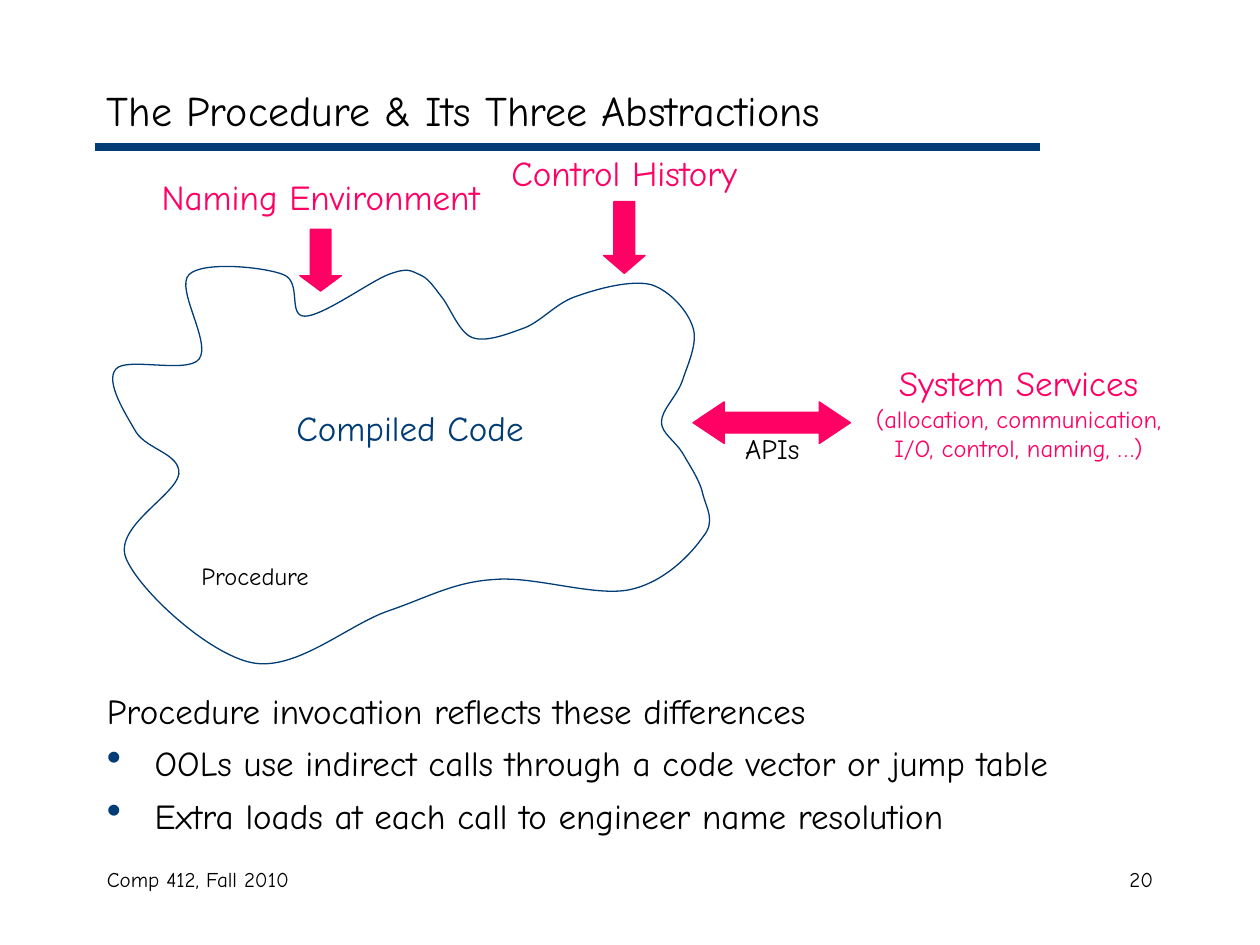
from lxml.etree import SubElement
from pptx import Presentation
from pptx.dml.color import RGBColor
from pptx.enum.shapes import MSO_CONNECTOR as Connector, MSO_SHAPE as Shape
from pptx.enum.text import MSO_ANCHOR as Anchor, PP_ALIGN as Align
from pptx.oxml.ns import qn
from pptx.util import Inches, Pt

THEME = {
    "font": "Comic Neue",
    "black": RGBColor(0x00, 0x00, 0x00),
    "navy": RGBColor(0x00, 0x3C, 0x75),
    "pink": RGBColor(0xFF, 0x00, 0x65),
    "title": 24, "label": 20, "api": 16, "small": 14, "footer": 12,
    "rule": 4.5, "outline": 0.75,
}
WIDTH, HEIGHT = 10, 7.5
MARGIN, HEADING = 0.75, 1.17
CONTENT = WIDTH - 2 * MARGIN
INDENT = 0.38

# (left, top, width, height), alignment, colour, [(text, size), ...]
LABELS = [
    ((0.92, 1.34, 3.25, 0.44), Align.CENTER, "pink", [("Naming Environment", "label")]),
    ((3.33, 1.15, 3.25, 0.44), Align.CENTER, "pink", [("Control History", "label")]),
    ((6.67, 2.82, 2.83, 0.9), Align.CENTER, "pink", [
        ("System Services", "label"),
        ("(allocation, communication, I/O, control, naming, …)", "small")]),
    ((5.63, 3.38, 1, 0.37), Align.CENTER, "black", [("APIs", "api")]),
    ((2.17, 3.18, 2.17, 0.44), Align.CENTER, "navy", [("Compiled Code", "label")]),
    ((1.5, 4.4, 1.67, 0.34), Align.LEFT, "black", [("Procedure", "small")]),
    ((MARGIN, 6.83, 3.17, 0.5), Align.LEFT, "black", [("Comp 412, Fall 2010", "footer")]),
    ((7.17, 6.83, 2.08, 0.5), Align.RIGHT, "black", [("20", "footer")]),
]
TITLE = "The Procedure & Its Three Abstractions"
SUMMARY = "Procedure invocation reflects these differences"
BULLETS = [
    "OOLs use indirect calls through a code vector or jump table",
    "Extra loads at each call to engineer name resolution",
]
# shape, (left, top, width, height), adjustments
ARROWS = [
    (Shape.DOWN_ARROW, (2.38, 1.82, 0.33, 0.49), (0.5, 0.37)),
    (Shape.DOWN_ARROW, (4.79, 1.6, 0.33, 0.57), (0.5, 0.43)),
    (Shape.LEFT_RIGHT_ARROW, (5.5, 3.19, 1.25, 0.33), (0.5, 0.75)),
]
# In hundredths of an inch; each curve: two control points, then its end point
CLOUD_UNIT = Inches(0.01)
CLOUD_START = (108, 343)
CLOUD_CURVES = [
    ((100, 329), (83, 303), (92, 293)),
    ((100, 283), (149, 297), (158, 285)),
    ((168, 272), (139, 229), (150, 218)),
    ((161, 207), (210, 212), (225, 218)),
    ((240, 224), (228, 251), (242, 251)),
    ((256, 251), (293, 224), (308, 218)),
    ((324, 212), (326, 215), (333, 218)),
    ((340, 221), (343, 226), (350, 235)),
    ((357, 243), (364, 264), (375, 268)),
    ((386, 272), (403, 265), (417, 260)),
    ((431, 254), (442, 240), (458, 235)),
    ((475, 229), (501, 222), (517, 226)),
    ((532, 231), (546, 247), (550, 260)),
    ((554, 272), (546, 289), (542, 301)),
    ((538, 314), (525, 325), (525, 335)),
    ((525, 344), (536, 350), (542, 360)),
    ((547, 369), (556, 382), (558, 393)),
    ((561, 404), (568, 414), (558, 426)),
    ((549, 439), (528, 462), (500, 468)),
    ((472, 474), (424, 457), (392, 460)),
    ((360, 462), (340, 474), (308, 485)),
    ((276, 496), (235, 533), (200, 526)),
    ((165, 519), (110, 468), (100, 443)),
    ((90, 418), (140, 393), (142, 376)),
    ((143, 360), (117, 357), CLOUD_START),
]


def add_text(page, place, lines, colour="black", align=Align.LEFT, anchor=Anchor.TOP):
    """Add a wrapped text box with one paragraph per line; return its paragraphs."""
    frame = page.shapes.add_textbox(*map(Inches, place)).text_frame
    frame.word_wrap = True
    frame.vertical_anchor = anchor
    for index, (text, size) in enumerate(lines):
        para = frame.add_paragraph() if index else frame.paragraphs[0]
        para.alignment = align
        span = para.add_run()
        span.text = text
        span.font.name = THEME["font"]
        span.font.size = Pt(THEME[size])
        span.font.color.rgb = THEME[colour]
    return frame.paragraphs


def add_bullet(para):
    """Give a paragraph a navy bullet with a hanging indent."""
    props = para._p.get_or_add_pPr()
    props.set("marL", str(Inches(INDENT)))
    props.set("indent", str(-Inches(INDENT)))
    tint = SubElement(props, qn("a:buClr"))
    SubElement(tint, qn("a:srgbClr"), val=str(THEME["navy"]))
    SubElement(props, qn("a:buSzPct"), val="120000")
    SubElement(props, qn("a:buChar"), char="•")


def add_rule(page):
    """Draw the line under the title."""
    rule = page.shapes.add_connector(
        Connector.STRAIGHT, *map(Inches, (MARGIN, HEADING, 8.25, HEADING)))
    rule.line.color.rgb = THEME["navy"]
    rule.line.width = Pt(THEME["rule"])
    SubElement(rule._element.spPr, qn("a:effectLst"))


def add_arrow(page, kind, place, adjustments):
    """Draw one solid pink block arrow."""
    arrow = page.shapes.add_shape(kind, *map(Inches, place))
    for index, value in enumerate(adjustments):
        arrow.adjustments[index] = value
    arrow.shadow.inherit = False
    arrow.fill.solid()
    arrow.fill.fore_color.rgb = THEME["pink"]
    arrow.line.color.rgb = THEME["pink"]
    arrow.line.width = Pt(THEME["outline"])


def add_cloud(page):
    """Draw the procedure outline, turning each three points into a curve."""
    points = [point for curve in CLOUD_CURVES for point in curve]
    builder = page.shapes.build_freeform(*CLOUD_START, scale=CLOUD_UNIT)
    builder.add_line_segments(points, close=True)
    cloud = builder.convert_to_shape()
    segments = list(cloud._element.iter(qn("a:lnTo")))
    for first in range(0, len(points), 3):
        group = segments[first:first + 3]
        curve = SubElement(group[0].getparent(), qn("a:cubicBezTo"))
        group[0].addprevious(curve)
        for segment in group:
            curve.append(segment[0])
            segment.getparent().remove(segment)
    cloud.shadow.inherit = False
    cloud.fill.background()
    cloud.line.color.rgb = THEME["navy"]
    cloud.line.width = Pt(THEME["outline"])


deck = Presentation()
deck.slide_width, deck.slide_height = Inches(WIDTH), Inches(HEIGHT)
page = deck.slides.add_slide(deck.slide_layouts[6])

add_rule(page)
add_text(page, (MARGIN, 0.58, CONTENT, 0.58), [(TITLE, "title")], anchor=Anchor.MIDDLE)
add_cloud(page)
for arrow in ARROWS:
    add_arrow(page, *arrow)
for place, align, colour, lines in LABELS:
    add_text(page, place, lines, colour, align)

body = add_text(page, (MARGIN, 5.42, CONTENT, 1.4),
                [(text, "label") for text in (SUMMARY, *BULLETS)])
for para in body[1:]:
    para.space_before = Pt(6)
    add_bullet(para)

deck.save("out.pptx")
